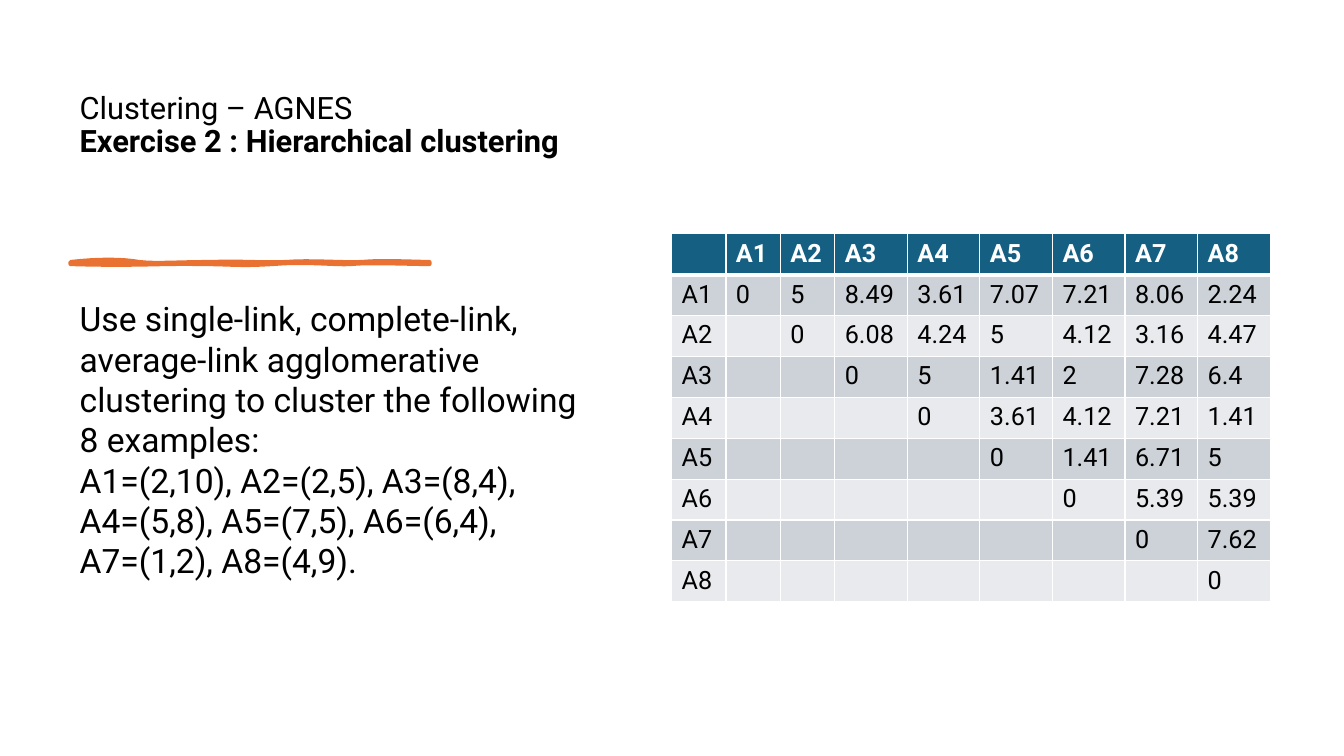
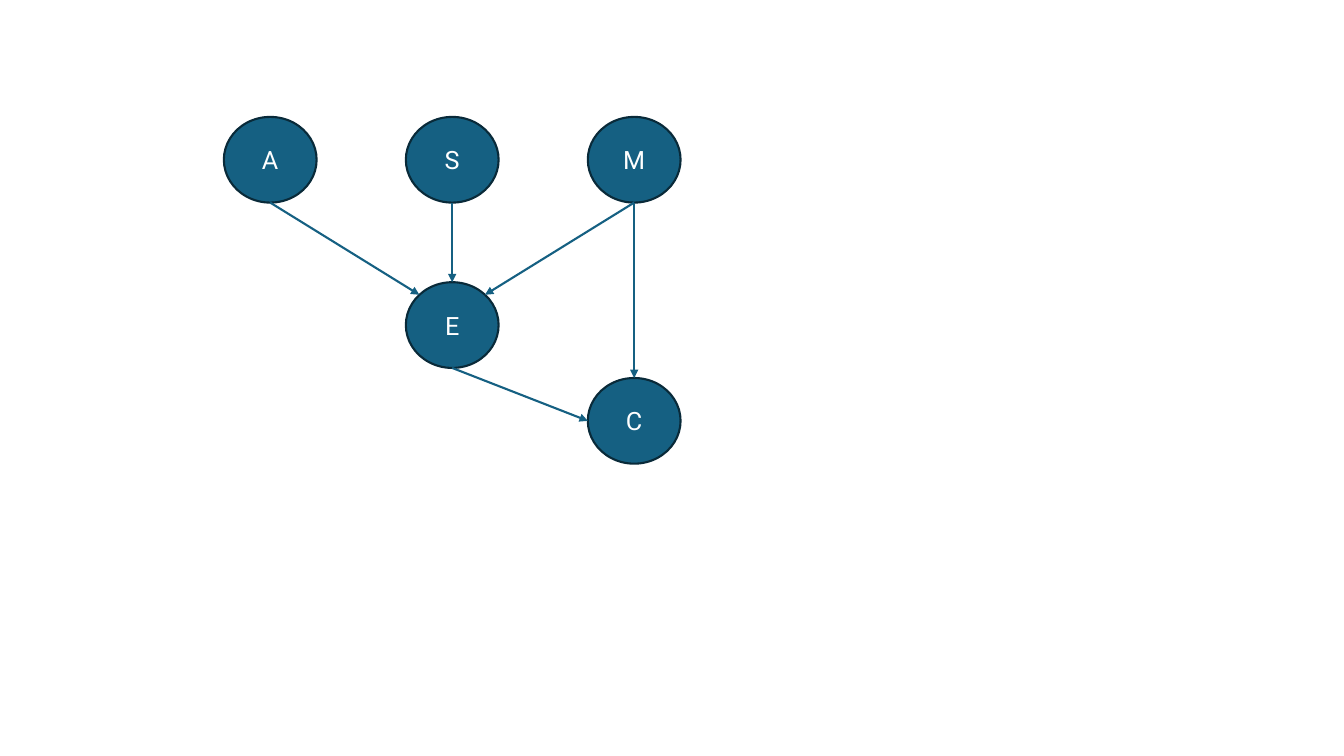
from math import cos, dist, radians, sin

from lxml.etree import SubElement
from pptx import Presentation
from pptx.dml.color import RGBColor
from pptx.enum.shapes import MSO_CONNECTOR as CONN, MSO_SHAPE as SHAPE
from pptx.enum.text import MSO_ANCHOR as ANCHOR, MSO_AUTO_SIZE as AUTO, PP_ALIGN as ALIGN
from pptx.oxml.ns import qn
from pptx.util import Inches, Pt

FONT = "Roboto"
BLACK, WHITE = "000000", "FFFFFF"
TEAL, NAVY, ORANGE = "156082", "092A39", "E97132"
BANDS = ("CCD2D8", "E8EAED")

POINTS = {"A1": (2, 10), "A2": (2, 5), "A3": (8, 4), "A4": (5, 8),
          "A5": (7, 5), "A6": (6, 4), "A7": (1, 2), "A8": (4, 9)}

# Hand-drawn rule: cubic curves (control, control, end), relative to its start
STROKE = [
    (0.27, -0.03, 0.51, -0.03, 0.68, 0), (0.85, 0.02, 1.07, 0, 1.39, 0),
    (1.71, -0.01, 1.9, 0.01, 2.14, 0), (2.38, -0.02, 2.69, 0.01, 2.89, 0),
    (3.09, -0.02, 3.42, 0, 3.56, 0), (3.56, 0, 3.56, 0.01, 3.56, 0.02),
    (3.38, 0.02, 2.94, 0, 2.78, 0.02), (2.62, 0.03, 2.34, -0.01, 2, 0.02),
    (1.65, 0.04, 1.61, 0.02, 1.29, 0.02), (0.96, 0.01, 0.62, 0.04, 0, 0.02),
]

# Graph nodes as (column, top), and arrows as (from, angle, to, angle)
NODES = {"A": (0, 0), "S": (1, 0), "M": (2, 0), "E": (1, 1.64), "C": (2, 2.59)}
TOP, TOP_LEFT, LEFT, BOTTOM, TOP_RIGHT = 270, 225, 180, 90, 315
ARROWS = [("A", BOTTOM, "E", TOP_LEFT), ("S", BOTTOM, "E", TOP),
          ("M", BOTTOM, "E", TOP_RIGHT), ("M", BOTTOM, "C", TOP),
          ("E", BOTTOM, "C", LEFT)]


def rgb(color):
    return RGBColor.from_string(color)


def write(p, text, size=18, color=BLACK, bold=False):
    r = p.add_run()
    r.text = text
    f = r.font
    f.name, f.size, f.bold = FONT, Pt(size), bold
    f.color.rgb = rgb(color)


def paint(sp, fill, line, width):
    sp.shadow.inherit = False
    sp.fill.solid()
    sp.fill.fore_color.rgb = rgb(fill)
    sp.line.color.rgb = rgb(line)
    sp.line.width = Pt(width)


def place(sp, x, y, w, h):
    sp.left, sp.top, sp.width, sp.height = map(Inches, (x, y, w, h))
    tf = sp.text_frame
    tf.word_wrap = True
    tf.auto_size = AUTO.NONE
    return tf


def add_title(s, x, y, w, h, topic, heading):
    tf = place(s.shapes.title, x, y, w, h)
    tf.vertical_anchor = ANCHOR.BOTTOM
    tf.margin_bottom = Inches(0.74)
    p = tf.paragraphs[0]
    p.alignment = ALIGN.LEFT
    p.line_spacing = 0.9
    write(p, topic, size=22)
    p.add_line_break()
    write(p, heading, size=22, bold=True)


def add_body(s, x, y, w, h, texts):
    tf = place(s.placeholders[1], x, y, w, h)
    tf.vertical_anchor = ANCHOR.TOP
    for i, text in enumerate(texts):
        p = tf.add_paragraph() if i else tf.paragraphs[0]
        pPr = p._p.get_or_add_pPr()
        pPr.set("marL", "0")
        pPr.set("indent", "0")
        SubElement(pPr, qn("a:buNone"))
        p.space_before = Pt(0)
        p.alignment = ALIGN.LEFT
        write(p, text, size=24)


def add_stroke(s, x, y, steps=8):
    start, pts = (0, 0), []
    for curve in STROKE:
        knots = [start, curve[:2], curve[2:4], curve[4:]]
        for t in (i / steps for i in range(1, steps + 1)):
            weights = ((1 - t) ** 3, 3 * t * (1 - t) ** 2, 3 * t * t * (1 - t), t ** 3)
            dx, dy = (sum(k * v for k, v in zip(weights, axis)) for axis in zip(*knots))
            pts.append((Inches(x + dx), Inches(y + dy)))
        start = knots[-1]
    builder = s.shapes.build_freeform(Inches(x), Inches(y))
    builder.add_line_segments(pts, close=True)
    paint(builder.convert_to_shape(), ORANGE, ORANGE, 3)


def style_cell(cell, fill, bottom):
    tcPr = cell._tc.get_or_add_tcPr()
    for side, width in (("L", 1), ("R", 1), ("T", 1), ("B", bottom)):
        ln = SubElement(tcPr, qn(f"a:ln{side}"), w=str(Pt(width)))
        SubElement(SubElement(ln, qn("a:solidFill")), qn("a:srgbClr"), val=WHITE)
    cell.fill.solid()
    cell.fill.fore_color.rgb = rgb(fill)


def add_distances(s, x, y, w, h):
    names = list(POINTS)
    # Upper triangle of Euclidean distances
    rows = [[""] + names]
    for i, a in enumerate(names):
        rows.append([a] + [f"{round(dist(POINTS[a], POINTS[b]), 2):g}" if j >= i else ""
                           for j, b in enumerate(names)])
    n = len(rows)
    table = s.shapes.add_table(n, n, *map(Inches, (x, y, w, h))).table
    narrow, wide = 0.54, (w - 3 * 0.54) / (n - 3)
    for i, col in enumerate(table.columns):
        col.width = Inches(narrow if i < 3 else wide)
    for i, values in enumerate(rows):
        table.rows[i].height = Inches(h / n)
        head = i == 0
        for j, value in enumerate(values):
            cell = table.cell(i, j)
            style_cell(cell, TEAL if head else BANDS[(i - 1) % 2], 3 if head else 1)
            if value:
                write(cell.text_frame.paragraphs[0], value,
                      color=WHITE if head else BLACK, bold=head)


def add_graph(s, x, y, w=0.92, h=0.85, pitch=1.805):
    for name, (col, top) in NODES.items():
        sp = s.shapes.add_shape(SHAPE.OVAL, *map(Inches, (x + col * pitch, y + top, w, h)))
        paint(sp, TEAL, NAVY, 1.5)
        sp.text_frame.vertical_anchor = ANCHOR.MIDDLE
        p = sp.text_frame.paragraphs[0]
        p.alignment = ALIGN.CENTER
        write(p, name, color=WHITE)

    def rim(name, angle):
        col, top = NODES[name]
        a = radians(angle)
        return (Inches(x + col * pitch + w / 2 * (1 + cos(a))),
                Inches(y + top + h / 2 * (1 + sin(a))))

    for src, out, dst, into in ARROWS:
        c = s.shapes.add_connector(CONN.STRAIGHT, *rim(src, out), *rim(dst, into))
        c.line.color.rgb = rgb(TEAL)
        c.line.width = Pt(1.5)
        SubElement(c.line._get_or_add_ln(), qn("a:tailEnd"), type="triangle")
        SubElement(c._element.spPr, qn("a:effectLst"))


def exercise_slide(prs):
    s = prs.slides.add_slide(prs.slide_layouts[1])
    add_title(s, 0.69, 0.7, 5.27, 1.62,
              "Clustering – AGNES", "Exercise 2 : Hierarchical clustering")
    add_stroke(s, 0.7, 2.6)
    points = ", ".join(f"{name}=({px},{py})" for name, (px, py) in POINTS.items())
    add_body(s, 0.69, 2.91, 5.27, 3.88, [
        "Use single-link, complete-link, average-link agglomerative clustering "
        "to cluster the following 8 examples:",
        points + "."])
    add_distances(s, 6.66, 2.32, 5.94, 3.65)


def graph_slide(prs):
    s = prs.slides.add_slide(prs.slide_layouts[6])
    add_graph(s, 2.22, 1.16)


def main():
    prs = Presentation()
    prs.slide_width, prs.slide_height = Inches(13.33), Inches(7.5)
    exercise_slide(prs)
    graph_slide(prs)
    prs.save("out.pptx")


if __name__ == "__main__":
    main()
